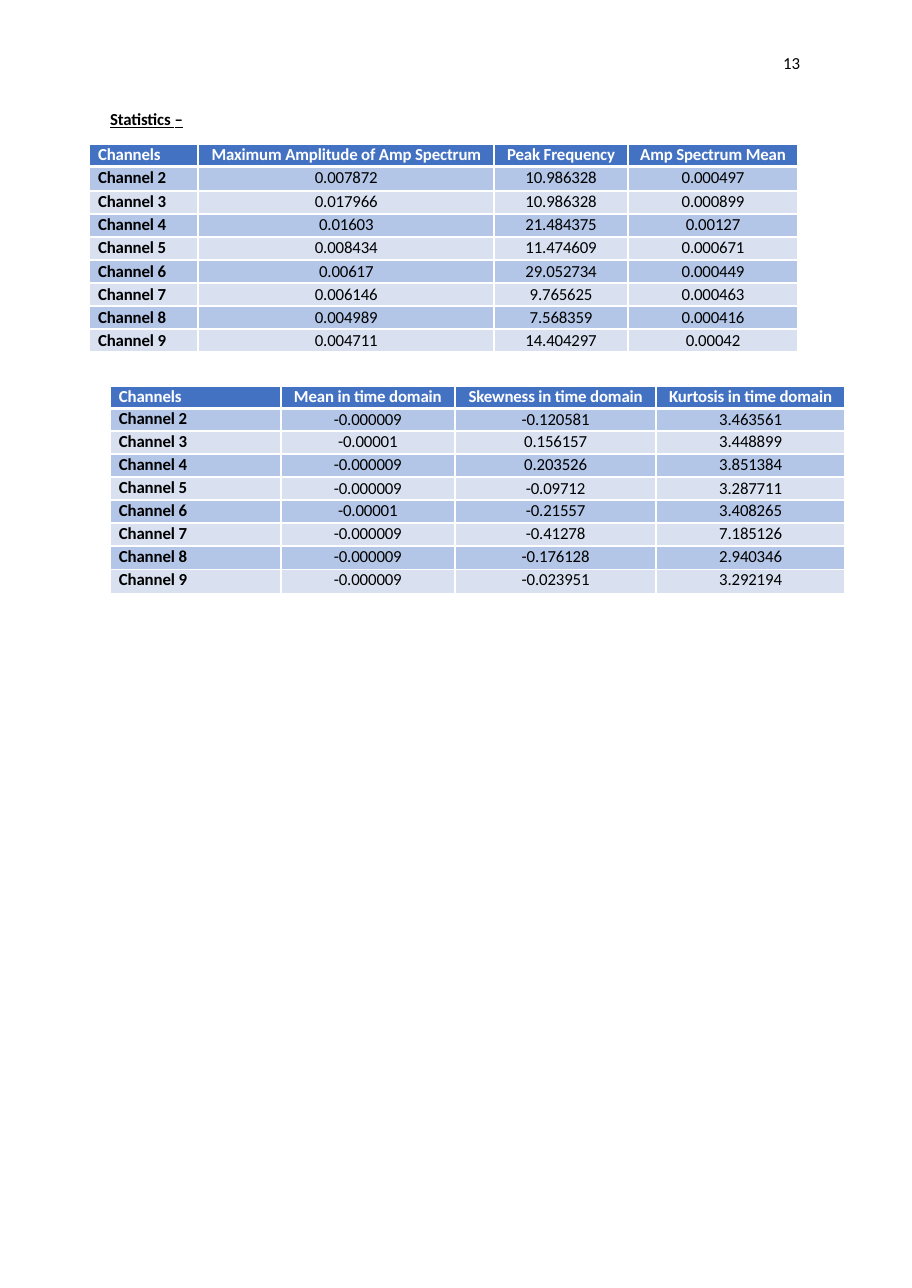
"""Build the statistics page with its two channel tables."""
from dataclasses import dataclass

from lxml.etree import SubElement
from pptx import Presentation
from pptx.dml.color import RGBColor
from pptx.enum.text import MSO_AUTO_SIZE as AutoSize, PP_ALIGN as Align
from pptx.oxml.ns import qn
from pptx.util import Inches, Pt

WHITE = RGBColor(0xFF, 0xFF, 0xFF)
BLACK = RGBColor(0x00, 0x00, 0x00)
HEADER_BLUE = RGBColor(0x44, 0x72, 0xC3)
BANDS = (RGBColor(0xB4, 0xC6, 0xE7), RGBColor(0xD9, 0xE1, 0xF1))
FIRST_CHANNEL = 2
TIGHT = -0.1


@dataclass(frozen=True)
class Spacing:
    before: float
    line: float | None = None

    @property
    def inset(self) -> float:
        return 0.01 if self.before < 1 else 0.02


@dataclass(frozen=True)
class StatsTable:
    left: float
    top: float
    widths: tuple[float, ...]
    heights: tuple[float, ...]
    headings: tuple[str, ...]
    values: tuple[tuple[str, ...], ...]
    header_spacing: Spacing
    label_spacing: Spacing
    upper_spacing: Spacing
    upper_rows: int = 4


@dataclass(frozen=True)
class Label:
    left: float
    top: float
    width: float
    spans: tuple[tuple[str, float], ...]
    bold: bool = False


TABLES = (
    StatsTable(
        0.81, 1.31, (0.99, 2.69, 1.21, 1.55), (0.2, 0.22) + (0.21,) * 7,
        ("Channels", "Maximum Amplitude of Amp Spectrum", "Peak Frequency", "Amp Spectrum Mean"),
        (
            ("0.007872", "10.986328", "0.000497"),
            ("0.017966", "10.986328", "0.000899"),
            ("0.01603", "21.484375", "0.00127"),
            ("0.008434", "11.474609", "0.000671"),
            ("0.00617", "29.052734", "0.000449"),
            ("0.006146", "9.765625", "0.000463"),
            ("0.004989", "7.568359", "0.000416"),
            ("0.004711", "14.404297", "0.00042"),
        ),
        Spacing(0.5, 13), Spacing(1.2, 12.8), Spacing(0.8, 13.2),
    ),
    StatsTable(
        1, 3.5, (1.55, 1.58, 1.83, 1.71), (0.21, 0.2) + (0.21,) * 6 + (0.22,),
        ("Channels", "Mean in time domain", "Skewness in time domain", "Kurtosis in time domain"),
        (
            ("-0.000009", "-0.120581", "3.463561"),
            ("-0.00001", "0.156157", "3.448899"),
            ("-0.000009", "0.203526", "3.851384"),
            ("-0.000009", "-0.09712", "3.287711"),
            ("-0.00001", "-0.21557", "3.408265"),
            ("-0.000009", "-0.41278", "7.185126"),
            ("-0.000009", "-0.176128", "2.940346"),
            ("-0.000009", "-0.023951", "3.292194"),
        ),
        Spacing(0.5), Spacing(1.7, 12.2), Spacing(1.3, 12.7),
    ),
)

LABELS = (
    Label(7.1, 0.47, 0.18, (("1", TIGHT), ("3", 0))),
    Label(0.99, 0.98, 0.7, (("Statistics", TIGHT), (" ", -0.6), ("–", 0)), bold=True),
)


def add_span(para, text: str, *, color: RGBColor = BLACK, bold: bool = False,
             underline: bool = False, tracking: float = TIGHT) -> None:
    span = para.add_run()
    span.text = text
    font = span.font
    font.name, font.size = "Calibri", Pt(11)
    font.bold, font.underline = bold, underline
    font.color.rgb = color
    span._r.get_or_add_rPr().set("spc", str(round(tracking * 100)))


def add_borders(cell, top: float, bottom: float) -> None:
    properties = cell._tc.get_or_add_tcPr()
    for side, width in (("L", 1.5), ("R", 1.5), ("T", top), ("B", bottom)):
        line = SubElement(properties, qn(f"a:ln{side}"), w=str(Pt(width)))
        fill = SubElement(line, qn("a:solidFill"))
        SubElement(fill, qn("a:srgbClr"), val=str(WHITE))


def fill_cell(cell, spans: tuple[tuple[str, float], ...], row: int, column: int,
              spacing: Spacing) -> None:
    is_header, is_label = row == 0, column == 0
    add_borders(cell, 2.25 if row == 1 else 1.5, 2.25 if is_header else 1.5)
    cell.fill.solid()
    cell.fill.fore_color.rgb = HEADER_BLUE if is_header else BANDS[(row - 1) % 2]
    cell.margin_left = Inches(0.08 if is_label else 0)
    cell.margin_right = cell.margin_bottom = Inches(0)
    cell.margin_top = Inches(spacing.inset)
    para = cell.text_frame.paragraphs[0]
    para.alignment = Align.LEFT if is_label else Align.CENTER
    para.space_before = Pt(spacing.before)
    if spacing.line:
        para.line_spacing = Pt(spacing.line)
    for text, tracking in spans:
        add_span(para, text, color=WHITE if is_header else BLACK,
                 bold=is_header or is_label, tracking=tracking)


def add_stats_table(page, stats: StatsTable) -> None:
    frame = page.shapes.add_table(
        len(stats.heights), len(stats.widths), Inches(stats.left), Inches(stats.top),
        Inches(sum(stats.widths)), Inches(sum(stats.heights)))
    table = frame.table
    table.first_row = table.horz_banding = False
    for column, width in zip(table.columns, stats.widths):
        column.width = Inches(width)
    for row, height in zip(table.rows, stats.heights):
        row.height = Inches(height)
    for column, heading in enumerate(stats.headings):
        fill_cell(table.cell(0, column), ((heading, TIGHT),), 0, column, stats.header_spacing)
    for row, values in enumerate(stats.values, start=1):
        channel = str(FIRST_CHANNEL + row - 1)
        fill_cell(table.cell(row, 0), (("Channel ", TIGHT), (channel, 0)), row, 0,
                  stats.label_spacing)
        spacing = stats.upper_spacing if row <= stats.upper_rows else stats.label_spacing
        for column, value in enumerate(values, start=1):
            fill_cell(table.cell(row, column), ((value, TIGHT),), row, column, spacing)


def add_label(page, label: Label) -> None:
    box = page.shapes.add_textbox(Inches(label.left), Inches(label.top),
                                  Inches(label.width), Inches(0.21))
    frame = box.text_frame
    frame.word_wrap = True
    frame.auto_size = AutoSize.SHAPE_TO_FIT_TEXT
    frame.margin_left = frame.margin_top = Inches(0.01)
    frame.margin_right = frame.margin_bottom = Inches(0)
    para = frame.paragraphs[0]
    para.space_before = Pt(1)
    for text, tracking in label.spans:
        add_span(para, text, bold=label.bold, underline=label.bold, tracking=tracking)


def main() -> None:
    deck = Presentation()
    deck.slide_width, deck.slide_height = Inches(8.28), Inches(11.69)
    page = deck.slides.add_slide(deck.slide_layouts[6])
    for stats in TABLES:
        add_stats_table(page, stats)
    for label in LABELS:
        add_label(page, label)
    deck.save("out.pptx")


if __name__ == "__main__":
    main()
